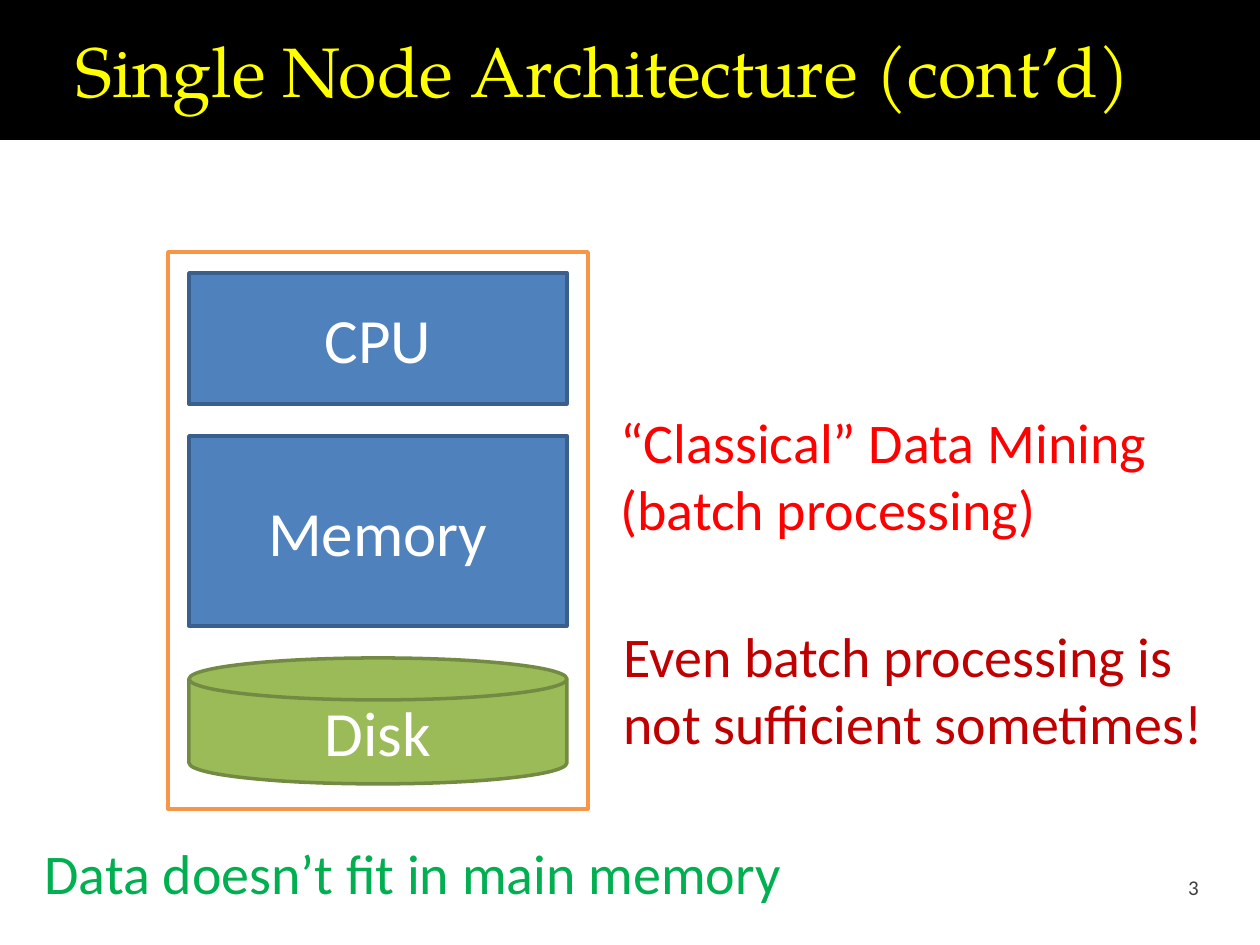
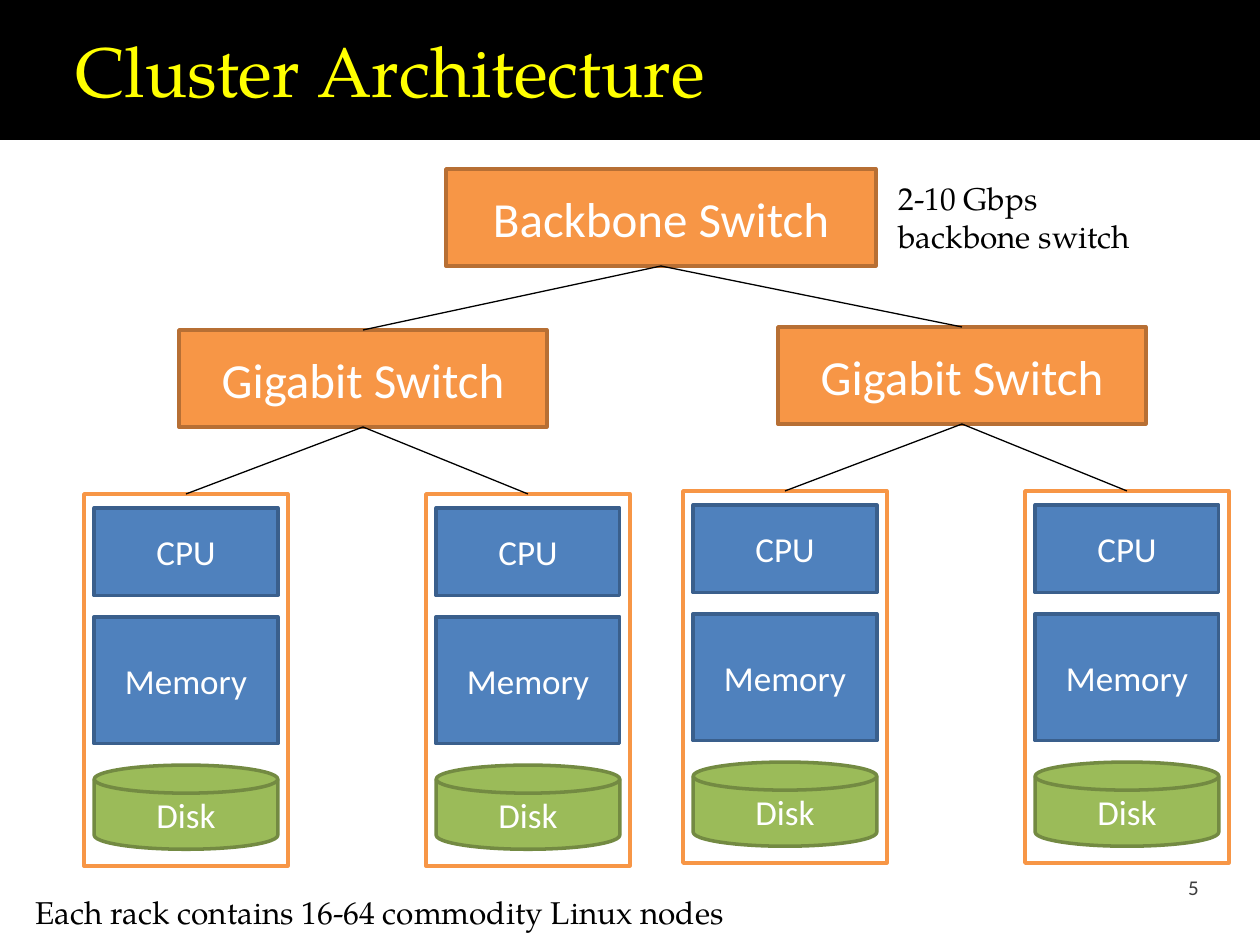
from lxml import etree
from pptx import Presentation
from pptx.dml.color import RGBColor
from pptx.enum.shapes import MSO_CONNECTOR, MSO_SHAPE
from pptx.enum.text import MSO_ANCHOR, PP_ALIGN
from pptx.oxml.ns import qn
from pptx.util import Emu, Pt

EMU_PER_PX = 914400 / 126
SLIDE_WIDTH, SLIDE_HEIGHT = 1260, 945

RECTANGLE = MSO_SHAPE.RECTANGLE
DISK = MSO_SHAPE.FLOWCHART_MAGNETIC_DISK
STRAIGHT = MSO_CONNECTOR.STRAIGHT
MIDDLE = MSO_ANCHOR.MIDDLE
CENTER = PP_ALIGN.CENTER
TOP_SIDE, BOTTOM_SIDE = 0, 2

SERIF = "TeX Gyre Pagella"
SANS = "Calibri"

BLACK = RGBColor(0x00, 0x00, 0x00)
WHITE = RGBColor(0xFF, 0xFF, 0xFF)
YELLOW = RGBColor(0xFF, 0xFF, 0x00)
RED = RGBColor(0xFF, 0x00, 0x00)
DARK_RED = RGBColor(0xC0, 0x00, 0x00)
BRIGHT_GREEN = RGBColor(0x00, 0xB0, 0x50)
GRAY = RGBColor(0x3E, 0x3E, 0x3E)
BLUE = RGBColor(0x4F, 0x81, 0xBD)
BLUE_EDGE = RGBColor(0x3A, 0x5F, 0x8C)
GREEN = RGBColor(0x9B, 0xBB, 0x59)
GREEN_EDGE = RGBColor(0x73, 0x8A, 0x42)
ORANGE = RGBColor(0xF7, 0x96, 0x46)
ORANGE_EDGE = RGBColor(0xB7, 0x6F, 0x34)

# A node's parts, laid out inside a frame of NODE_WIDTH by NODE_HEIGHT
NODE_WIDTH, NODE_HEIGHT, NODE_PADDING = 420, 557, 21
NODE_PARTS = [  # label, preset, top, height, fill, edge
    ("CPU", RECTANGLE, 21, 131, BLUE, BLUE_EDGE),
    ("Memory", RECTANGLE, 184, 190, BLUE, BLUE_EDGE),
    ("Disk", DISK, 406, 126, GREEN, GREEN_EDGE),
]

# A rack: one switch above two nodes, measured from the rack's corner
RACK_NODE_WIDTH, RACK_NODE_HEIGHT = 204, 372
RACK_NODE_STEP, RACK_NODE_DROP = 342, 164
SWITCH_INSET, SWITCH_WIDTH, SWITCH_HEIGHT = 95, 368, 97


def px(length):
    return Emu(round(length * EMU_PER_PX))


def px_box(*lengths):
    return [px(length) for length in lengths]


def write(shape, text, size, color, font_name):
    frame = shape.text_frame
    frame.word_wrap = True
    paragraph = frame.paragraphs[0]
    paragraph.text = text
    paragraph.font.size = Pt(size)
    paragraph.font.name = font_name
    paragraph.font.color.rgb = color
    return paragraph


def add_text(slide, text, box, size, color, font_name=SANS):
    text_box = slide.shapes.add_textbox(*px_box(*box))
    write(text_box, text, size, color, font_name)
    return text_box


def add_block(slide, preset, box, fill, edge=None, label=None, size=None):
    shape = slide.shapes.add_shape(preset, *px_box(*box))
    shape.shadow.inherit = False
    shape.fill.solid()
    shape.fill.fore_color.rgb = fill
    if edge is None:
        shape.line.fill.background()
    else:
        shape.line.color.rgb = edge
        shape.line.width = Pt(2)
    if label:
        write(shape, label, size, WHITE, SANS).alignment = CENTER
        shape.text_frame.vertical_anchor = MIDDLE
    return shape


def add_link(slide, upper, lower):
    """Join the bottom of the upper shape to the top of the lower one."""
    link = slide.shapes.add_connector(STRAIGHT, 0, 0, 0, 0)
    link.begin_connect(upper, BOTTOM_SIDE)
    link.end_connect(lower, TOP_SIDE)
    link.line.color.rgb = BLACK
    link.line.width = Pt(0.75)
    etree.SubElement(link._element.spPr, qn("a:effectLst"))


def add_node(slide, left, top, width, height, size):
    frame = add_block(slide, RECTANGLE, (left, top, width, height), WHITE, ORANGE)
    across, down = width / NODE_WIDTH, height / NODE_HEIGHT
    padding = NODE_PADDING * across
    for label, preset, part_top, part_height, fill, edge in NODE_PARTS:
        box = (left + padding, top + part_top * down,
               width - 2 * padding, part_height * down)
        add_block(slide, preset, box, fill, edge, label, size)
    return frame


def add_switch(slide, label, left, top, width):
    box = (left, top, width, SWITCH_HEIGHT)
    return add_block(slide, RECTANGLE, box, ORANGE, ORANGE_EDGE, label, 28)


def add_rack(slide, left, top):
    switch = add_switch(slide, "Gigabit Switch", left + SWITCH_INSET, top, SWITCH_WIDTH)
    for index in range(2):
        node = add_node(slide, left + index * RACK_NODE_STEP, top + RACK_NODE_DROP,
                        RACK_NODE_WIDTH, RACK_NODE_HEIGHT, 20)
        add_link(slide, switch, node)
    return switch


def add_base_slide(presentation, title, number):
    """Blank slide with the title band and the slide number."""
    slide = presentation.slides.add_slide(presentation.slide_layouts[6])
    add_block(slide, RECTANGLE, (0, 0, SLIDE_WIDTH, 140), BLACK)
    add_text(slide, title, (63, 21, 1166, 97), 40, YELLOW, SERIF)
    number_box = add_text(slide, str(number), (1183, 875, 43, 25), 12, GRAY)
    frame = number_box.text_frame
    frame.margin_left = px(5)
    frame.margin_right = frame.margin_top = frame.margin_bottom = 0
    return slide


def build_single_node(presentation):
    slide = add_base_slide(presentation, "Single Node Architecture (cont’d)", 3)
    add_node(slide, 168, 252, NODE_WIDTH, NODE_HEIGHT, 36)

    # Remarks beside and below the node
    add_text(slide, "“Classical” Data Mining (batch processing)",
             (608, 401, 599, 149), 32, RED)
    add_text(slide, "Even batch processing is not sufficient sometimes!",
             (611, 615, 617, 149), 32, DARK_RED)
    add_text(slide, "Data doesn’t fit in main memory",
             (32, 832, 829, 81), 32, BRIGHT_GREEN)


def build_cluster(presentation):
    slide = add_base_slide(presentation, "Cluster Architecture", 5)

    # Backbone with its two racks
    backbone = add_switch(slide, "Backbone Switch", 446, 169, 430)
    for left, top in ((84, 330), (683, 327)):
        add_link(slide, backbone, add_rack(slide, left, top))

    # Captions
    add_text(slide, "2-10 Gbps backbone switch", (886, 173, 300, 89), 18, BLACK, SERIF)
    add_text(slide, "Each rack contains 16-64 commodity Linux nodes",
             (23, 887, 809, 50), 18, BLACK, SERIF)


def main():
    presentation = Presentation()
    presentation.slide_width = px(SLIDE_WIDTH)
    presentation.slide_height = px(SLIDE_HEIGHT)
    build_single_node(presentation)
    build_cluster(presentation)
    presentation.save("out.pptx")


if __name__ == "__main__":
    main()
